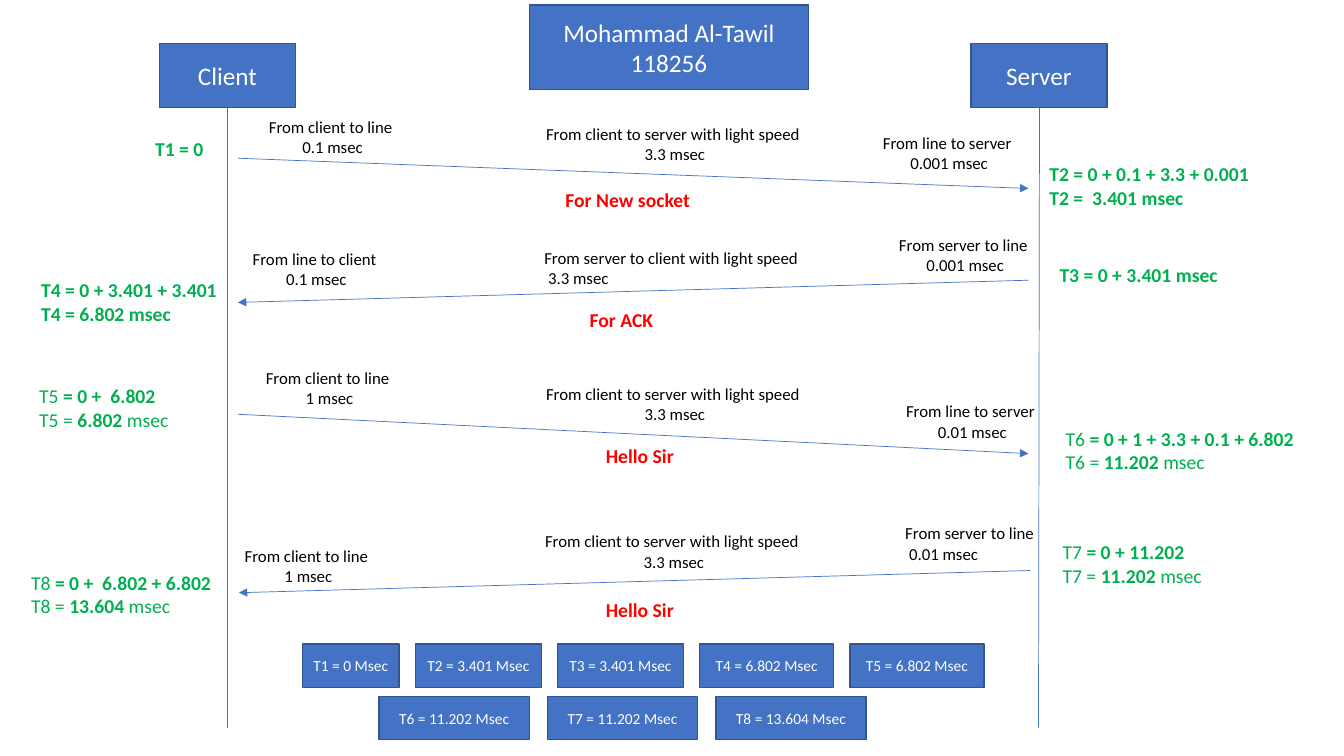
"""Build a client and server message timing diagram on one slide."""
from lxml import etree
from pptx import Presentation, util as u
from pptx.dml.color import RGBColor as Rgb
from pptx.enum import shapes as sh, text as tx
from pptx.oxml import ns

THEME = dict(
    font="Calibri", fill="4472C4", edge="325491", line="4472C4", white="FFFFFF",
    label="000000", time="00B050", note="FF0000",
    head_pt=18, body_pt=14, label_pt=12, chip_pt=11, edge_pt=1, line_pt=0.5,
)
MID, LEFT = tx.PP_ALIGN.CENTER, tx.PP_ALIGN.LEFT

HEADS = [
    ("Client", 1.58, 0.43, 1.35, 0.64),
    ("Server", 9.63, 0.43, 1.35, 0.64),
    ("Mohammad Al-Tawil\n118256", 5.25, 0.05, 2.77, 0.84),
]
LIVES = [(2.25, 1.07, 2.25, 7.22), (10.31, 1.07, 10.3, 7.22)]
SPANS = (1.44, 2.75, 1.49)
LEGS = [
    dict(arrow=(2.36, 1.57, 10.2, 1.87), note=("For New socket", 5.51, 1.81, 1.44), labels=[
        ("From client to line\n 0.1 msec", 2.56, 1.11, MID),
        ("From client to server with light speed\n 3.3 msec", 5.3, 1.18, MID),
        ("From line to server\n 0.001 msec", 8.65, 1.27, MID)]),
    dict(arrow=(10.2, 2.78, 2.36, 3), note=("For ACK", 5.75, 3, 0.84), labels=[
        ("From line to client\n 0.1 msec", 2.4, 2.42, MID),
        ("From server to client with light speed\n 3.3 msec", 5.3, 2.41, LEFT),
        ("From server to line\n 0.001 msec", 8.81, 2.28, MID)]),
    dict(arrow=(2.36, 4.11, 10.2, 4.5), note=("Hello Sir", 5.91, 4.35, 0.88), labels=[
        ("From client to line\n 1 msec", 2.53, 3.6, MID),
        ("From client to server with light speed\n 3.3 msec", 5.3, 3.76, MID),
        ("From line to server\n 0.01 msec", 8.88, 3.93, MID)]),
    dict(arrow=(10.22, 5.66, 2.37, 5.88), note=("Hello Sir", 5.91, 5.88, 0.88), labels=[
        ("From client to line\n 1 msec", 2.32, 5.36, MID),
        ("From client to server with light speed\n 3.3 msec", 5.29, 5.22, MID),
        ("From server to line\n 0.01 msec", 8.88, 5.14, LEFT)]),
]
TIMES = [
    ("*T1 = 0*", 1.44, 1.31, 0.68),
    ("*T2 = 0 + 0.1 + 3.3 + 0.001\nT2 =  3.401 msec*", 10.31, 1.56, 2.2),
    ("*T3 = 0 + 3.401 msec*", 10.41, 2.55, 1.78),
    ("*T4 = 0 + 3.401 + 3.401\nT4 = 6.802 msec*", 0.31, 2.71, 1.96),
    ("T5 *= 0 +  6.802*\nT5 = *6.802* msec", 0.29, 3.76, 1.51),
    ("T6 *= 0 + 1 + 3.3 + 0.1 + 6.802*\nT6 = *11.202* msec", 10.47, 4.18, 2.48),
    ("T7 *= 0 + 11.202*\nT7 = *11.202* msec", 10.44, 5.31, 1.59),
    ("T8 *= 0 +  6.802 + 6.802*\nT8 = *13.604* msec", 0.21, 5.61, 2),
]
CHIPS = [
    (3, 6.39, 0.16, [("T1 = 0", 0.96), ("T2 = 3.401", 1.25), ("T3 = 3.401", 1.25),
                     ("T4 = 6.802", 1.33), ("T5 = 6.802", 1.33)]),
    (3.76, 6.91, 0.18, [("T6 = 11.202", 1.49), ("T7 = 11.202", 1.49), ("T8 = 13.604", 1.49)]),
]


def put(item, vals):
    for key, val in vals.items():
        setattr(item, key, val)


def tint(name):
    return Rgb.from_string(THEME[name])


def write(shape, words, size, color, align):
    frame = shape.text_frame
    put(frame, dict(word_wrap=False, vertical_anchor=tx.MSO_ANCHOR.MIDDLE))
    para = frame.paragraphs[0]
    para.alignment = align
    for i, part in enumerate(words.split("*")):
        for j, line in enumerate(part.split("\n")):
            if j:
                para.add_line_break()
            if line:
                run = para.add_run()
                run.text = line
                put(run.font, dict(name=THEME["font"], size=u.Pt(THEME[size]), bold=i % 2 == 1))
                run.font.color.rgb = tint(color)


def box(words, x, y, w, h, size):
    shape = slide.shapes.add_shape(sh.MSO_SHAPE.RECTANGLE, *map(u.Inches, (x, y, w, h)))
    shape.shadow.inherit = False
    shape.fill.solid()
    shape.fill.fore_color.rgb = tint("fill")
    shape.line.color.rgb = tint("edge")
    shape.line.width = u.Pt(THEME["edge_pt"])
    write(shape, words, size, "white", MID)


def note(words, x, y, w, size, color, align=LEFT):
    high = 0.5 if size == "label_pt" else 0.57 if "\n" in words else 0.34
    shape = slide.shapes.add_textbox(*map(u.Inches, (x, y, w, high)))
    write(shape, words, size, color, align)


def link(ends, head=False):
    line = slide.shapes.add_connector(sh.MSO_CONNECTOR.STRAIGHT, *map(u.Inches, ends))
    line.line.color.rgb = tint("line")
    line.line.width = u.Pt(THEME["line_pt"])
    if head:
        etree.SubElement(line.line._get_or_add_ln(), ns.qn("a:tailEnd"), type="triangle")
    etree.SubElement(line._element.spPr, ns.qn("a:effectLst"))


deck = Presentation()
put(deck, dict(slide_width=u.Inches(13.33), slide_height=u.Inches(7.5)))
slide = deck.slides.add_slide(deck.slide_layouts[6])

for head in HEADS:
    box(*head, "head_pt")
for life in LIVES:
    link(life)
for leg in LEGS:
    link(leg["arrow"], True)
    words, *spot = leg["note"]
    note(f"*{words}*", *spot, "body_pt", "note")
    for (words, x, y, align), wide in zip(leg["labels"], SPANS):
        note(words, x, y, wide, "label_pt", "label", align)
for time in TIMES:
    note(*time, "body_pt", "time")
for x, y, gap, row in CHIPS:
    for words, wide in row:
        box(f"{words} Msec", x, y, wide, 0.43, "chip_pt")
        x += wide + gap

deck.save("out.pptx")
